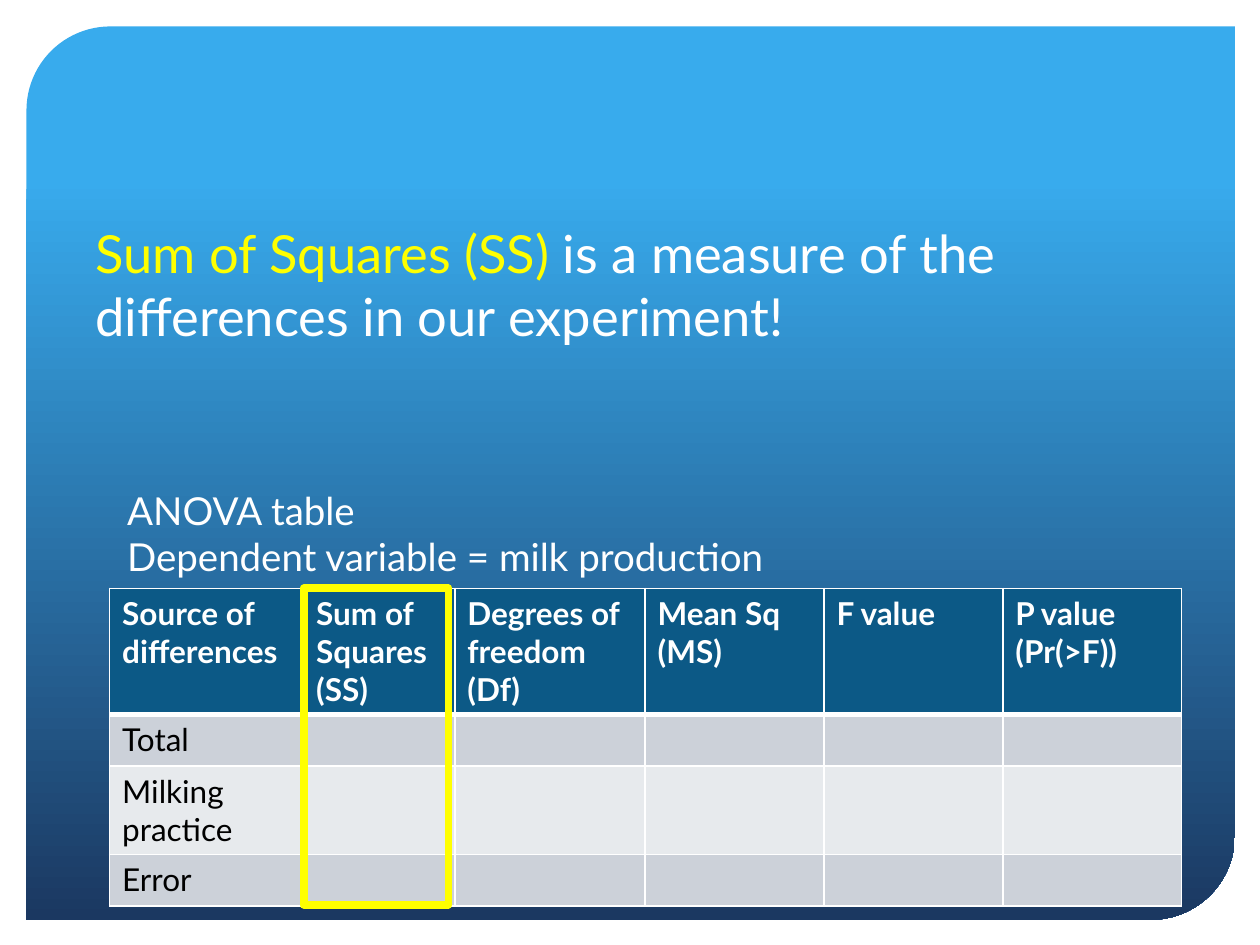
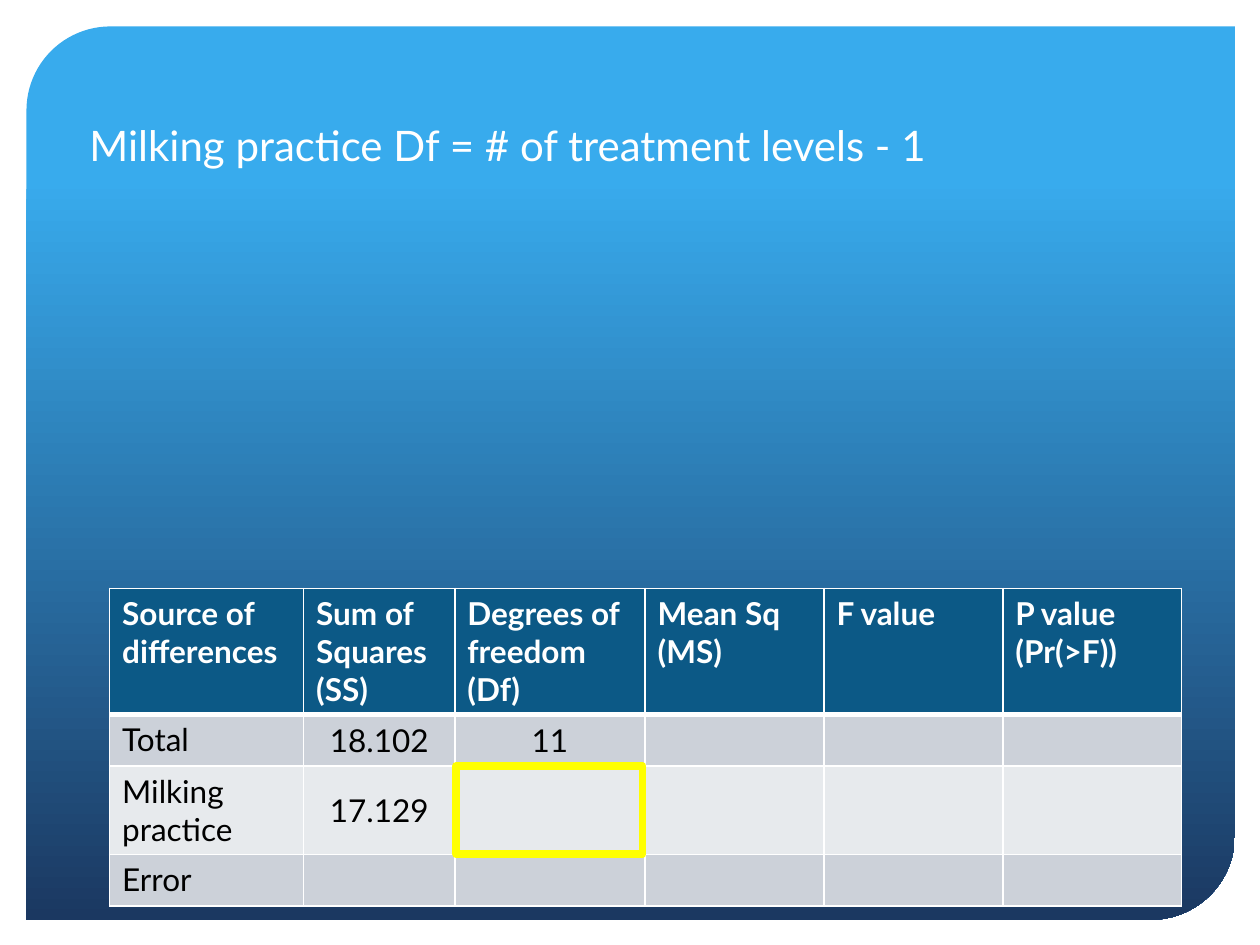
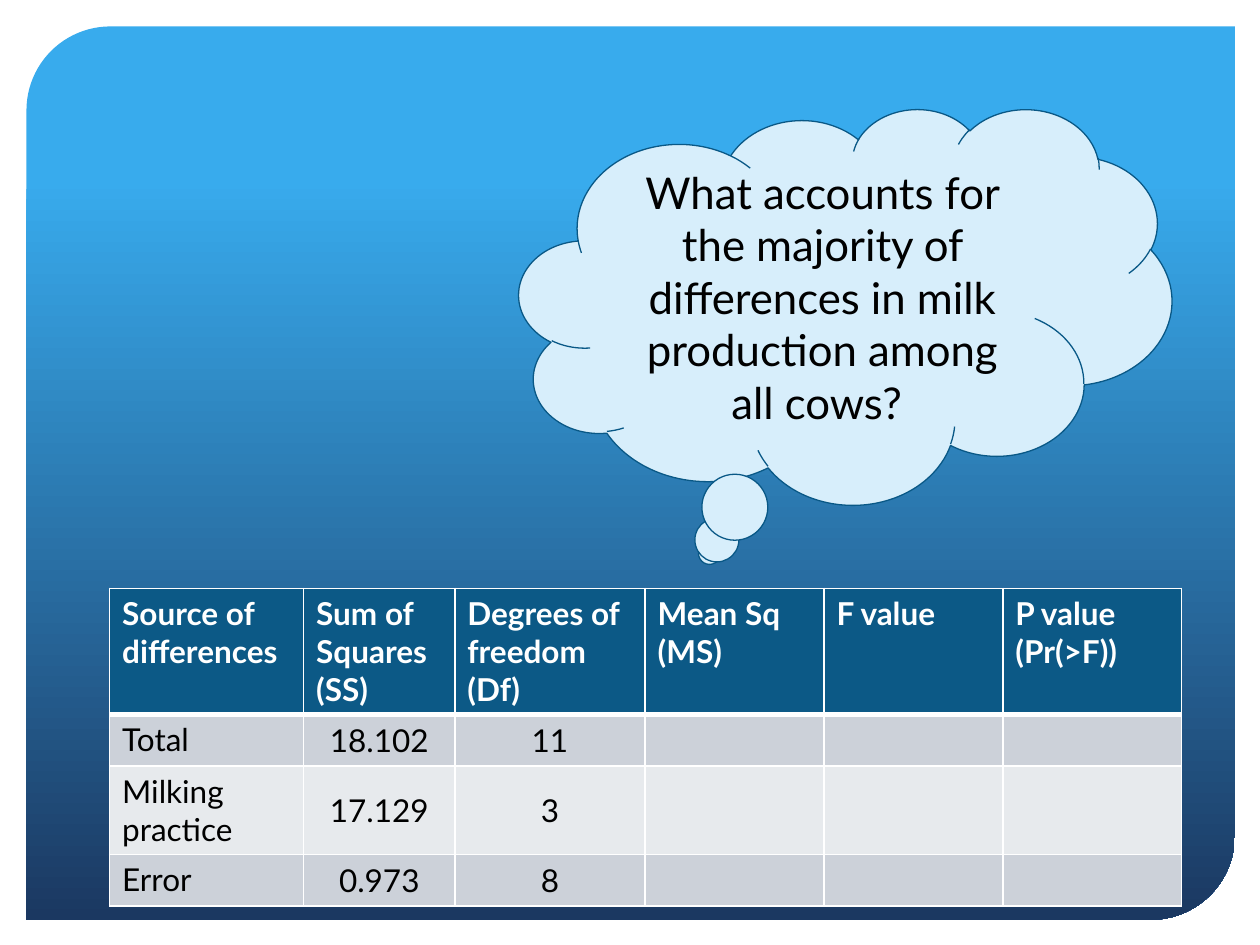
from lxml import etree
from pptx import Presentation
from pptx.dml.color import RGBColor
from pptx.enum.shapes import MSO_SHAPE as SHAPE
from pptx.enum.text import MSO_ANCHOR as ANCHOR, MSO_AUTO_SIZE as AUTO, PP_ALIGN as ALIGN
from pptx.oxml.ns import qn
from pptx.util import Inches, Pt

FONT = "Lato"
WHITE = RGBColor(0xFF, 0xFF, 0xFF)
BLACK = RGBColor(0, 0, 0)
YELLOW = RGBColor(0xFF, 0xFF, 0)
SKY = RGBColor(0x38, 0xAB, 0xED)
NAVY = RGBColor(0x1B, 0x38, 0x61)
HEADER = RGBColor(0x0C, 0x59, 0x86)
BAND_DARK = RGBColor(0xCC, 0xD1, 0xD9)
BAND_LIGHT = RGBColor(0xE7, 0xEA, 0xED)
CLOUD = RGBColor(0xD7, 0xEE, 0xFB)
CLOUD_LINE = RGBColor(0x09, 0x58, 0x86)

TITLE_ONLY, BLANK = 5, 6

# ANOVA table layout
COL_WIDTHS = [1.54, 1.2, 1.51, 1.42, 1.42, 1.42]
ROW_HEIGHTS = [0.99, 0.41, 0.7, 0.41]
HEADINGS = ["Source of differences", "Sum of Squares\n(SS)", "Degrees of freedom (Df)",
            "Mean Sq\n(MS)", "F value", "P value\n(Pr(>F))"]
SOURCES = ["Total", "Milking practice", "Error"]


def inches(box):
    return [Inches(v) for v in box]


def style(p, size, color, bold=False, align=ALIGN.LEFT):
    p.alignment = align
    p.font.name, p.font.size, p.font.bold = FONT, Pt(size), bold
    p.font.color.rgb = color


def add_master_panel(prs, slide):
    """Gradient panel behind every slide, moved from the slide to the master."""
    sp = slide.shapes.add_shape(SHAPE.ROUND_2_DIAG_RECTANGLE, *inches((0.21, 0.21, 9.59, 7.09)))
    sp.shadow.inherit = False
    sp.adjustments[0], sp.adjustments[1] = 0.094, 0
    sp.line.fill.background()
    sp.fill.gradient()
    sp.fill.gradient_angle = 270
    for stop, (pos, color) in zip(sp.fill.gradient_stops, [(0.17, SKY), (1, NAVY)]):
        stop.position, stop.color.rgb = pos, color
    sp.element.nvSpPr.cNvPr.set("id", "20")
    prs.slide_master.element.cSld.spTree.insert(2, sp.element)


def set_title(slide, text, box, size, anchor):
    title = slide.shapes.title
    title.left, title.top, title.width, title.height = inches(box)
    tf = title.text_frame
    tf.auto_size, tf.vertical_anchor = AUTO.NONE, anchor
    p = tf.paragraphs[0]
    p.text = text
    style(p, size, WHITE)


def add_statement(slide, parts, box, size):
    """Text box whose one paragraph has runs of different colours."""
    tf = slide.shapes.add_textbox(*inches(box)).text_frame
    tf.word_wrap, tf.vertical_anchor = True, ANCHOR.BOTTOM
    p = tf.paragraphs[0]
    style(p, size, WHITE)
    for text, color in parts:
        r = p.add_run()
        r.text = text
        r.font.color.rgb = color


def add_highlight(slide, box):
    sp = slide.shapes.add_shape(SHAPE.RECTANGLE, *inches(box))
    sp.shadow.inherit = False
    sp.fill.background()
    sp.line.color.rgb, sp.line.width = YELLOW, Pt(4.5)


def add_thought(slide, text, box):
    sp = slide.shapes.add_shape(SHAPE.CLOUD_CALLOUT, *inches(box))
    sp.shadow.inherit = False
    sp.fill.solid()
    sp.fill.fore_color.rgb = CLOUD
    sp.line.color.rgb, sp.line.width = CLOUD_LINE, Pt(0.75)
    tf = sp.text_frame
    tf.word_wrap, tf.vertical_anchor = True, ANCHOR.MIDDLE
    p = tf.paragraphs[0]
    p.text = text
    style(p, 25, BLACK, align=ALIGN.CENTER)


def set_borders(cell, **widths):
    tc_pr = cell._tc.get_or_add_tcPr()
    for side in "LRTB":
        ln = etree.SubElement(tc_pr, qn(f"a:ln{side}"), w=str(Pt(widths.get(side, 1))))
        fill = etree.SubElement(ln, qn("a:solidFill"))
        etree.SubElement(fill, qn("a:srgbClr"), val=str(WHITE))


def add_anova_table(slide, values=()):
    """values maps (row, column) to the figure shown there."""
    values = dict(values)
    shape = slide.shapes.add_table(len(ROW_HEIGHTS), len(COL_WIDTHS), *inches((0.87, 4.67, 8.5, 2.51)))
    table = shape.table
    for col, width in zip(table.columns, COL_WIDTHS):
        col.width = Inches(width)
    for row, height in zip(table.rows, ROW_HEIGHTS):
        row.height = Inches(height)
    for i, row in enumerate(table.rows):
        for j, cell in enumerate(row.cells):
            is_head, is_value = i == 0, i > 0 and j > 0
            if is_head:
                cell.text = HEADINGS[j]
            else:
                cell.text = values.get((i, j), "") if is_value else SOURCES[i - 1]
            cell.vertical_anchor = ANCHOR.MIDDLE if is_value else ANCHOR.TOP
            for p in cell.text_frame.paragraphs:
                style(p, 18, WHITE if is_head else BLACK, is_head,
                      ALIGN.CENTER if is_value else ALIGN.LEFT)
            set_borders(cell, B=3 if is_head else 1, T=3 if i == 1 else 1)
            cell.fill.solid()
            cell.fill.fore_color.rgb = HEADER if is_head else (BAND_LIGHT, BAND_DARK)[i % 2]


def main():
    prs = Presentation()
    prs.slide_width, prs.slide_height = Inches(10), Inches(7.5)

    # Sum of squares
    slide = prs.slides.add_slide(prs.slide_layouts[TITLE_ONLY])
    add_master_panel(prs, slide)
    set_title(slide, "ANOVA table\vDependent variable = milk production",
              (0.91, 3.51, 8.29, 1.14), 22, ANCHOR.BOTTOM)
    add_anova_table(slide)
    add_statement(slide, [("Sum of Squares (SS)", YELLOW),
                          (" is a measure of the differences in our experiment!", WHITE)],
                  (0.66, 1.66, 8.61, 1.14), 30)
    add_highlight(slide, (2.41, 4.67, 1.15, 2.51))

    # Degrees of freedom
    slide = prs.slides.add_slide(prs.slide_layouts[TITLE_ONLY])
    set_title(slide, "Milking practice Df = # of treatment levels - 1",
              (0.61, 0.9, 8.81, 0.5), 24, ANCHOR.TOP)
    known = {(1, 1): "18.102", (1, 2): "11", (2, 1): "17.129"}
    add_anova_table(slide, known)
    add_highlight(slide, (3.62, 6.08, 1.48, 0.7))

    # Question
    slide = prs.slides.add_slide(prs.slide_layouts[BLANK])
    add_thought(slide, "What accounts for the majority of differences in milk production among all cows? ",
                (4.12, 0.86, 5.18, 3.14))
    add_anova_table(slide, {**known, (2, 2): "3", (3, 1): "0.973", (3, 2): "8"})

    prs.save("out.pptx")


if __name__ == "__main__":
    main()
